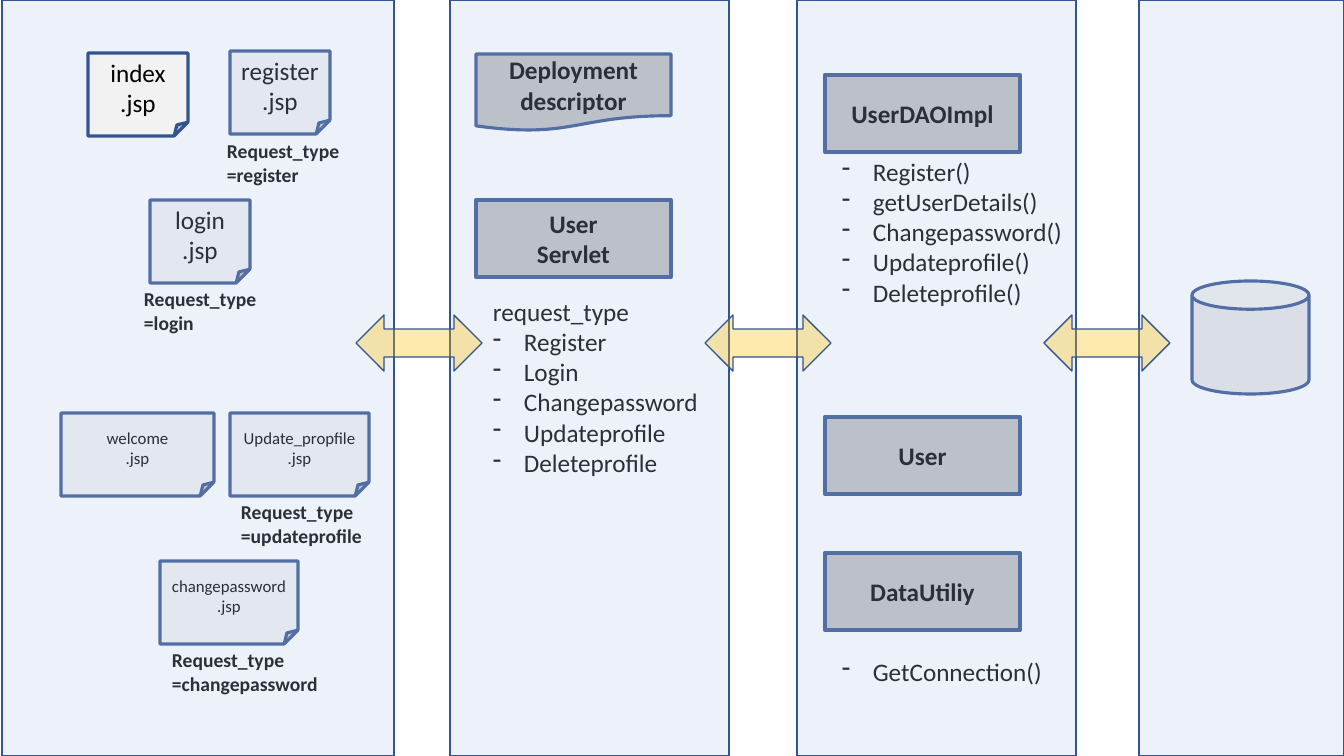
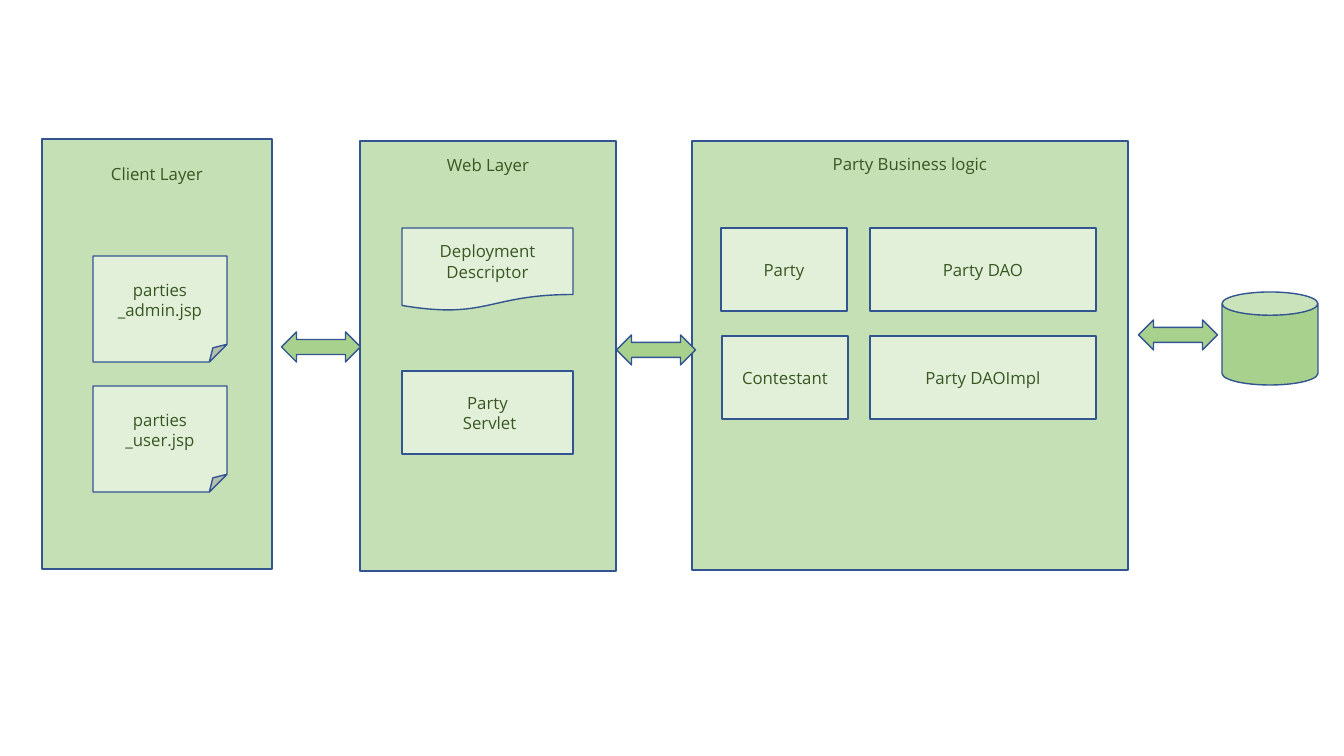
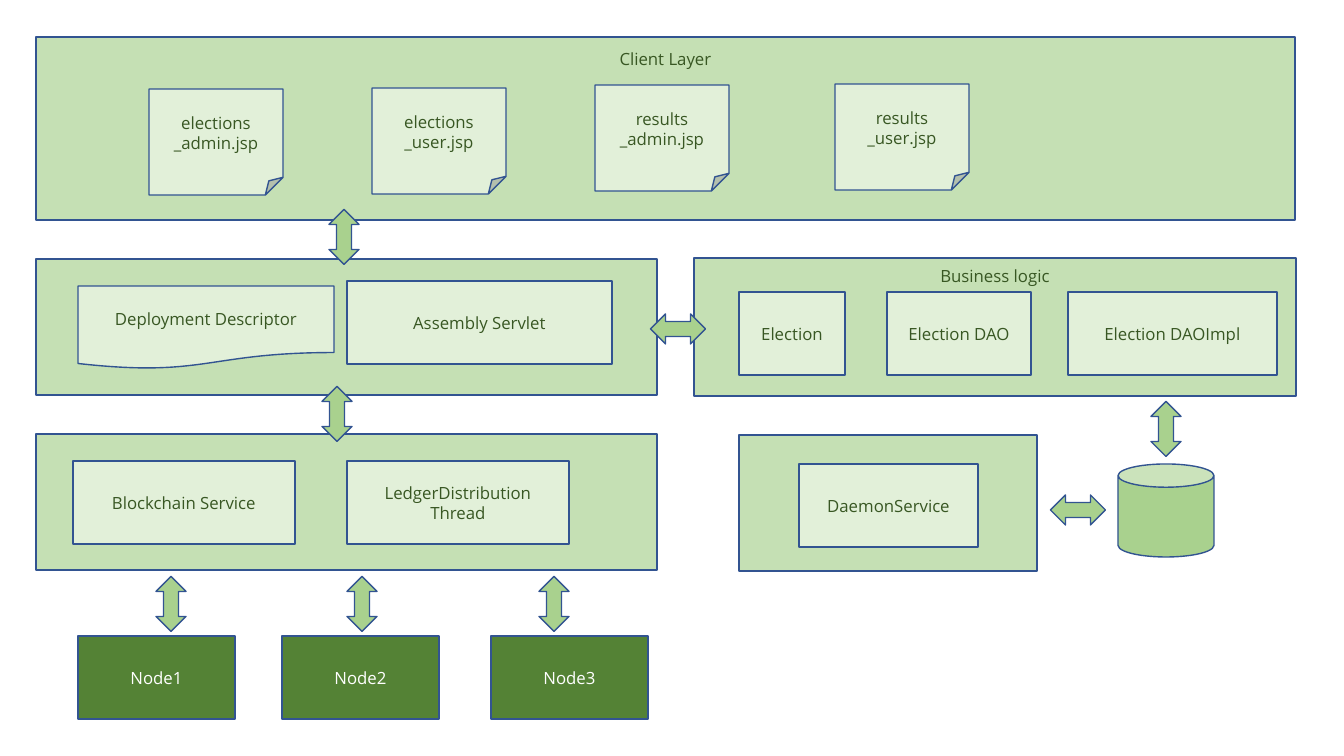
"""Build three layered architecture diagrams of a JSP voting application."""
import dataclasses

import pptx
import pptx.dml.color
import pptx.enum.shapes
import pptx.enum.text
import pptx.oxml
import pptx.oxml.ns
import pptx.util

RGBColor = pptx.dml.color.RGBColor
Shapes = pptx.enum.shapes.MSO_SHAPE
Anchor = pptx.enum.text.MSO_ANCHOR
Align = pptx.enum.text.PP_ALIGN

EMU_PER_PIXEL = 914400 / 100.8
SLIDE_WIDTH, SLIDE_HEIGHT = 1344, 756
BULLET_INDENT = 31

BLACK = RGBColor(0x00, 0x00, 0x00)
WHITE = RGBColor(0xFF, 0xFF, 0xFF)
OUTLINE = RGBColor(0x32, 0x54, 0x91)
GRAY = RGBColor(0xBF, 0xBF, 0xBF)
STORE_GRAY = RGBColor(0xE7, 0xE6, 0xE6)
PAGE_GRAY = RGBColor(0xF2, 0xF2, 0xF2)
COLUMN_BLUE = RGBColor(0xB4, 0xC7, 0xE7)
AMBER = RGBColor(0xFF, 0xC0, 0x00)
LAYER_GREEN = RGBColor(0xC5, 0xE0, 0xB4)
PALE_GREEN = RGBColor(0xE2, 0xF0, 0xD9)
MID_GREEN = RGBColor(0xA9, 0xD1, 0x8E)
NODE_GREEN = RGBColor(0x54, 0x82, 0x35)
DARK_GREEN = RGBColor(0x38, 0x57, 0x23)


@dataclasses.dataclass(frozen=True)
class Look:
    """Fill, outline and lettering of one kind of element."""
    fill: RGBColor
    line_width: float = 1
    opacity: int = 100
    font: str = "Open Sans"
    size: int = 12
    color: RGBColor = DARK_GREEN
    bold: bool = False


CLASS = Look(GRAY, 3, font="Calibri", size=18, color=BLACK, bold=True)
DESCRIPTOR = dataclasses.replace(CLASS, line_width=2.25)
PAGE = Look(PAGE_GRAY, 2.25, font="Calibri", size=18, color=BLACK)
SMALL_PAGE = dataclasses.replace(PAGE, size=12)
LIST = PAGE
CAPTION = dataclasses.replace(PAGE, size=14, bold=True)
STORE = Look(STORE_GRAY, 2.25)
COLUMN = Look(COLUMN_BLUE, opacity=24)
AMBER_ARROW = Look(AMBER, opacity=32)
LAYER = Look(LAYER_GREEN)
PART = Look(PALE_GREEN)
GREEN = Look(MID_GREEN)
NODE = Look(NODE_GREEN, color=WHITE)


def px(length):
    """Turn pixels into EMU."""
    return pptx.util.Emu(round(length * EMU_PER_PIXEL))


def write(frame, text, look, alignment):
    """Write text into a frame, one paragraph per line."""
    frame.word_wrap = True
    frame.text = text
    for paragraph in frame.paragraphs:
        paragraph.alignment = alignment
        paragraph.font.name = look.font
        paragraph.font.size = pptx.util.Pt(look.size)
        paragraph.font.bold = look.bold
        paragraph.font.color.rgb = look.color


def add_box(slide, kind, look, left, top, width, height, text=""):
    """Add a preset shape with centred text."""
    shape = slide.shapes.add_shape(kind, px(left), px(top), px(width), px(height))
    shape.shadow.inherit = False
    shape.fill.solid()
    shape.fill.fore_color.rgb = look.fill
    if look.opacity < 100:
        color = shape.element.spPr.find(".//" + pptx.oxml.ns.qn("a:srgbClr"))
        alpha = pptx.oxml.parse_xml(
            f'<a:alpha {pptx.oxml.ns.nsdecls("a")} val="{look.opacity * 1000}"/>')
        color.append(alpha)
    shape.line.color.rgb = OUTLINE
    shape.line.width = pptx.util.Pt(look.line_width)
    if text:
        write(shape.text_frame, text, look, Align.CENTER)
        shape.text_frame.vertical_anchor = Anchor.MIDDLE
    return shape


def add_layer(slide, left, top, width, height, title="", title_gap=0):
    """Add a green layer with its title near the top edge."""
    shape = add_box(slide, Shapes.RECTANGLE, LAYER, left, top, width, height, title)
    if title:
        shape.text_frame.vertical_anchor = Anchor.TOP
        shape.text_frame.margin_top = px(title_gap)


def add_arrow(slide, look, center_x, center_y, length, thickness, rotation=0):
    """Add a double arrow around its centre."""
    arrow = add_box(slide, Shapes.LEFT_RIGHT_ARROW, look, center_x - length / 2,
                    center_y - thickness / 2, length, thickness)
    arrow.rotation = rotation


def add_text(slide, look, left, top, width, height, text, plain_lines):
    """Add a text box whose lines after the plain ones carry dashes."""
    box = slide.shapes.add_textbox(px(left), px(top), px(width), px(height))
    write(box.text_frame, text, look, Align.LEFT)
    box.text_frame.auto_size = pptx.enum.text.MSO_AUTO_SIZE.SHAPE_TO_FIT_TEXT
    for paragraph in box.text_frame.paragraphs[plain_lines:]:
        properties = paragraph._p.get_or_add_pPr()
        properties.set("marL", str(px(BULLET_INDENT)))
        properties.set("indent", str(-px(BULLET_INDENT)))
        bullet = pptx.oxml.parse_xml(
            f'<a:buChar {pptx.oxml.ns.nsdecls("a")} char="-"/>')
        properties.insert_element_before(
            bullet, "a:tabLst", "a:defRPr", "a:extLst")


def build_user_module(slide):
    """Draw the user module in four tinted columns."""
    for left, top, text in (
            (476, 200, "User\nServlet"), (825, 75, "UserDAOImpl"),
            (825, 417, "User"), (825, 553, "DataUtiliy")):
        add_box(slide, Shapes.RECTANGLE, CLASS, left, top, 195, 77, text)
    add_box(slide, Shapes.CAN, STORE, 1192, 281, 117, 113)
    for look, left, top, width, name in (
            (PAGE, 230, 51, 100, "register"), (PAGE, 150, 200, 100, "login"),
            (SMALL_PAGE, 61, 413, 153, "welcome"),
            (SMALL_PAGE, 230, 413, 139, "Update_propfile"),
            (SMALL_PAGE, 160, 561, 138, "changepassword")):
        add_box(slide, Shapes.FOLDED_CORNER, look, left, top, width, 83, name + "\v.jsp")
    add_box(slide, Shapes.FLOWCHART_DOCUMENT, DESCRIPTOR, 476, 54, 195, 77,
            "Deployment descriptor")

    add_text(slide, LIST, 483, 291, 228, 224,
             "request_type\nRegister\nLogin\nChangepassword\nUpdateprofile\nDeleteprofile", 1)
    add_text(slide, LIST, 832, 151, 301, 194,
             "Register()\ngetUserDetails()\nChangepassword()\nUpdateprofile()\nDeleteprofile()", 0)
    add_text(slide, LIST, 832, 651, 224, 40, "GetConnection()", 0)
    for left, top, width, request in (
            (217, 134, 133, "register"), (134, 282, 133, "login"),
            (231, 495, 143, "updateprofile"), (162, 643, 168, "changepassword")):
        add_text(slide, CAPTION, left, top, width, 57, f"Request_type\n={request}", 2)

    for left, width in ((2, 392), (450, 279), (797, 279), (1139, 205)):
        add_box(slide, Shapes.RECTANGLE, COLUMN, left, 0, width, SLIDE_HEIGHT)
    for center_x in (419, 768, 1107):
        add_arrow(slide, AMBER_ARROW, center_x, 343, 126, 56)
    add_box(slide, Shapes.FOLDED_CORNER, PAGE, 88, 53, 100, 83, "index\v.jsp")


def build_party_module(slide):
    """Draw the party module in three green layers."""
    add_layer(slide, 360, 141, 256, 430, "Web Layer", 14)
    add_layer(slide, 42, 139, 230, 430, "Client Layer", 25)
    for top, role in ((386, "user"), (256, "admin")):
        add_box(slide, Shapes.FOLDED_CORNER, PART, 93, top, 134, 106, f"parties\v_{role}.jsp")
    add_box(slide, Shapes.FLOWCHART_DOCUMENT, PART, 402, 228, 171, 83, "Deployment Descriptor")
    add_box(slide, Shapes.RECTANGLE, PART, 402, 371, 171, 83, "Party\n Servlet")
    add_layer(slide, 692, 141, 436, 429, "Party Business logic", 13)
    for left, top, width, text in (
            (721, 228, 126, "Party"), (870, 228, 226, "Party DAO"),
            (870, 336, 226, "Party DAOImpl"), (722, 336, 126, "Contestant")):
        add_box(slide, Shapes.RECTANGLE, PART, left, top, width, 83, text)
    add_box(slide, Shapes.CAN, GREEN, 1222, 292, 96, 93)
    for center_x, center_y in ((321, 347), (656, 350), (1178, 335)):
        add_arrow(slide, GREEN, center_x, center_y, 79, 30)


def build_election_module(slide):
    """Draw the election module with its blockchain nodes."""
    add_layer(slide, 739, 435, 298, 136)
    for top in (259, 434):
        add_layer(slide, 36, top, 621, 136)
    add_layer(slide, 36, 37, 1259, 183, "Client Layer", 12)
    add_layer(slide, 694, 258, 602, 138, "Business logic", 8)
    for left, top, name in (
            (372, 88, "elections\v_user"), (149, 89, "elections\v_admin"),
            (835, 84, "results\v_user"), (595, 85, "results\v_admin")):
        add_box(slide, Shapes.FOLDED_CORNER, PART, left, top, 134, 106, name + ".jsp")
    add_box(slide, Shapes.FLOWCHART_DOCUMENT, PART, 78, 286, 256, 83, "Deployment Descriptor")
    for left, top, width, text in (
            (347, 281, 265, "Assembly Servlet"), (739, 292, 106, "Election"),
            (887, 292, 144, "Election DAO"), (1068, 292, 209, "Election DAOImpl"),
            (73, 461, 222, "Blockchain Service"),
            (347, 461, 222, "LedgerDistribution Thread"),
            (799, 464, 179, "DaemonService")):
        add_box(slide, Shapes.RECTANGLE, PART, left, top, width, 83, text)
    add_box(slide, Shapes.CAN, GREEN, 1118, 464, 96, 93)
    for number, left in enumerate((78, 282, 491), start=1):
        add_box(slide, Shapes.RECTANGLE, NODE, left, 636, 157, 83, f"Node{number}")
    for center_x, center_y, rotation in (
            (344, 237, 90), (337, 414, 90), (362, 604, 90), (554, 604, 90),
            (171, 604, 90), (1166, 429, 90), (1078, 510, 0), (678, 329, 0)):
        add_arrow(slide, GREEN, center_x, center_y, 55, 30, rotation)


def main():
    """Build and save the presentation."""
    presentation = pptx.Presentation()
    presentation.slide_width = px(SLIDE_WIDTH)
    presentation.slide_height = px(SLIDE_HEIGHT)
    for build in (build_user_module, build_party_module, build_election_module):
        build(presentation.slides.add_slide(presentation.slide_layouts[6]))
    presentation.save("out.pptx")


main()
